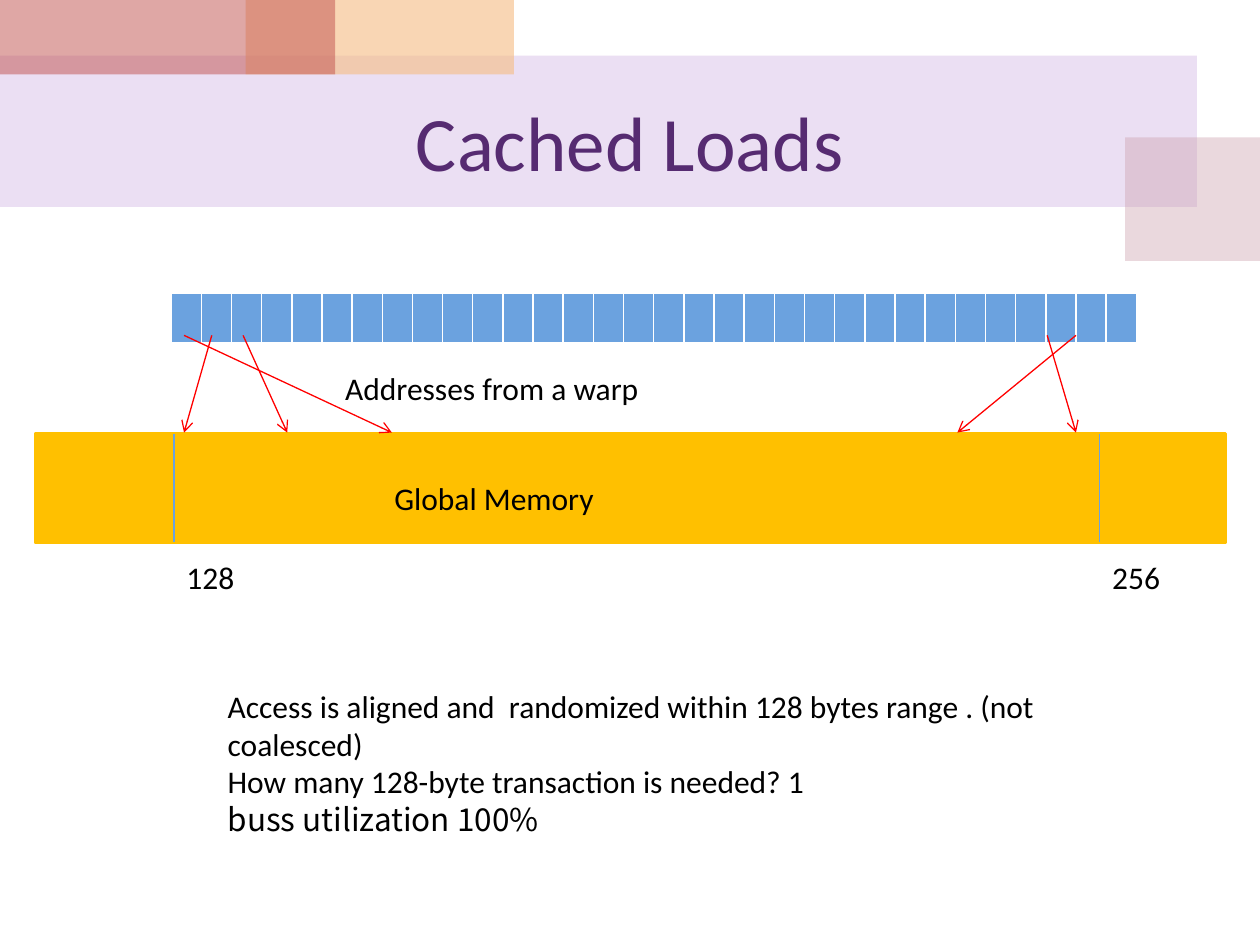
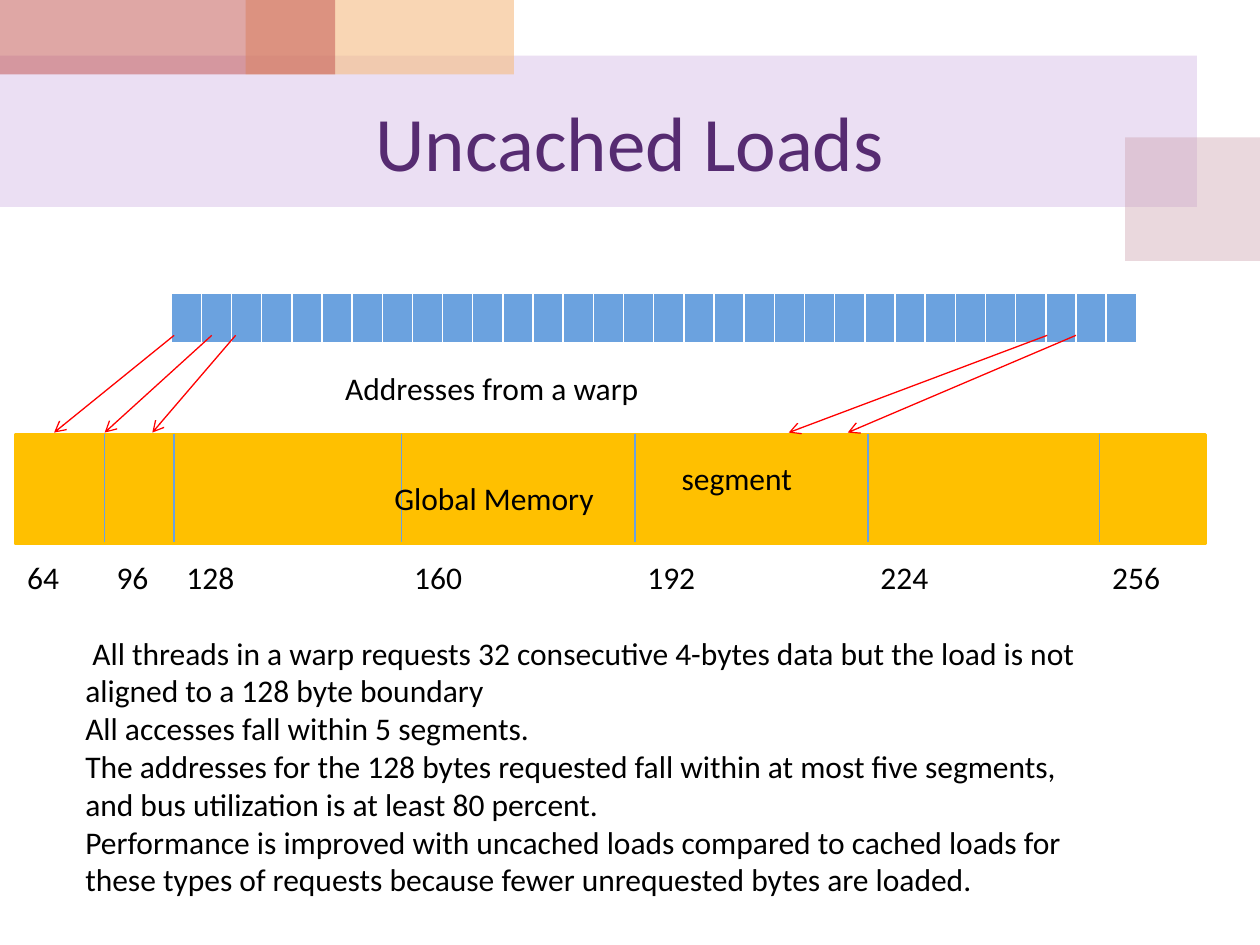
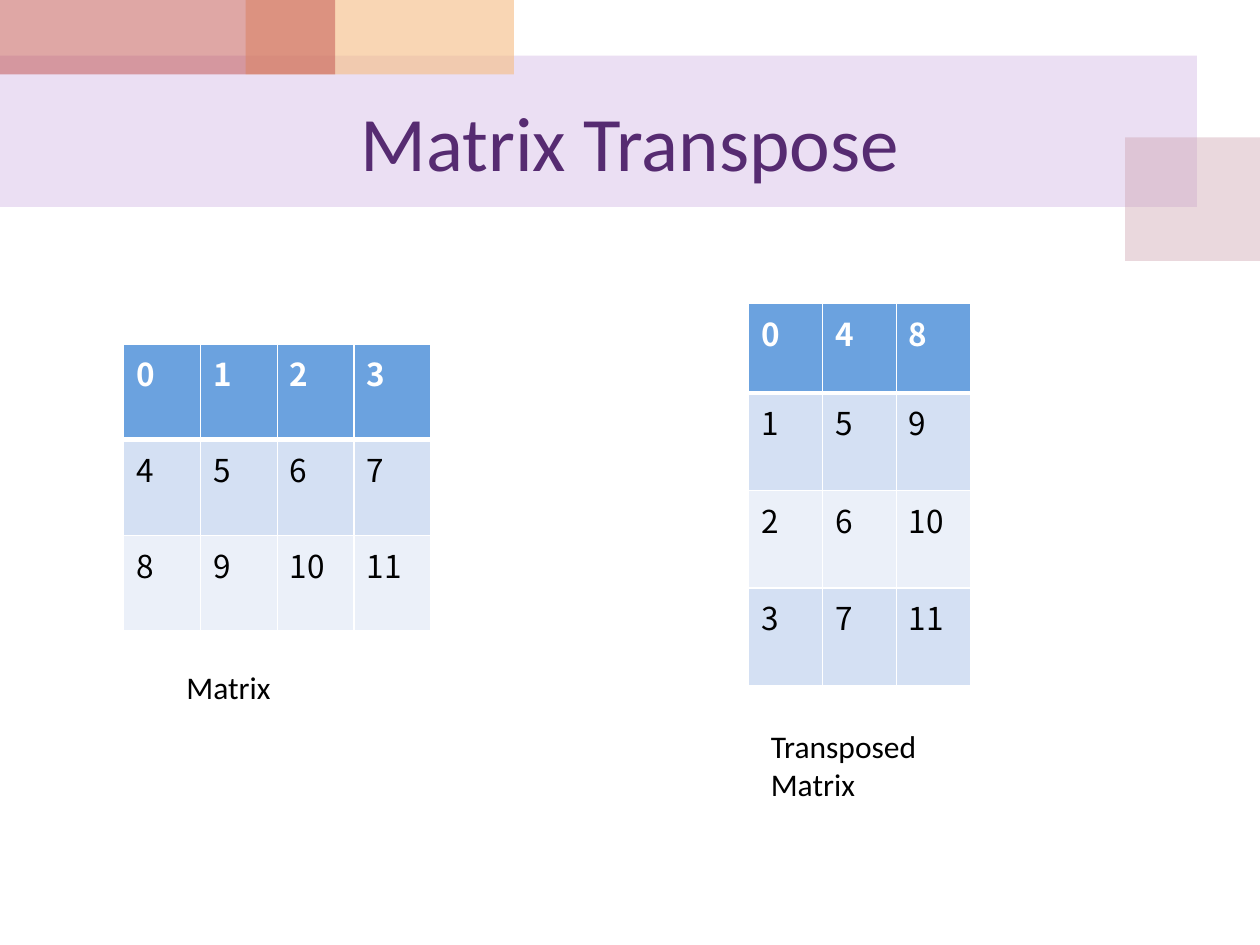
from lxml.etree import SubElement as Sub
from pptx import Presentation
from pptx.dml.color import RGBColor
from pptx.enum.shapes import MSO_CONNECTOR as Link, MSO_SHAPE as Kind
from pptx.enum.text import MSO_ANCHOR as Anchor, MSO_AUTO_SIZE as Fit, PP_ALIGN as Align
from pptx.oxml.ns import qn
from pptx.util import Cm, Pt

SANS, CJK = "Calibri", "Noto Sans CJK KR"
BLUE, GOLD, RED, PLUM = "6BA2DF", "FFC000", "FF0000", "562B71"
WHITE, BLACK = "FFFFFF", "000000"
ROWS = ["D4E0F3", "EBF0F9"]
BODY = {"name": SANS, "size": Pt(18)}
CELL = {"name": CJK, "size": Pt(18)}
TITLE = {"name": SANS, "size": Pt(44)}

# left, top, width, height in cm, then colour and opacity in percent
BANDS = [
    ((0, 1.12, 24.13, 3.05), "BF98D8", 30),
    ((22.68, 2.77, 2.72, 2.49), "CC9EAC", 40),
    ((4.95, 0, 5.41, 1.5), "F5BC83", 60),
    ((0, 0, 6.76, 1.5), "C0504D", 50),
]
HEAD = (1.27, 1.5, 22.86, 2.67)
WARP = (3.45, 5.92, 18.52, 1)
THREADS = 32
LINE = 1.02
ARROW_TOP, ARROW_END = 6.76, 8.72
MARK_TOP, MARK_END, MARK_TEXT = 8.74, 10.92, 11.13
LABELS = [
    ("Addresses from a warp", (6.71, 7.32, 11.2, LINE)),
    ("Global Memory", (7.7, 9.53, 7.19, LINE)),
]

# arrows: x at the warp, x at the memory; marks: address, x, label width
LOADS = [
    {
        "title": "Cached Loads",
        "memory": (0.71, 8.74, 24, 2.21),
        "arrows": [(4.27, 3.71), (4.9, 5.79), (21.11, 21.69), (21.69, 19.3), (3.71, 7.9)],
        "marks": [(128, 3.51, 2.01), (256, 22.17, 2.13)],
        "labels": LABELS,
        "box": (4.34, 13.72, 17.35, 3.33),
        "notes": [
            ("Access is aligned and  randomized within 128 bytes range . (not coalesced)", SANS),
            ("How many 128-byte transaction is needed? 1", SANS),
            ("buss utilization 100%", CJK),
        ],
    },
    {
        "title": "Uncached Loads",
        "memory": (0.3, 8.76, 24, 2.21),
        "arrows": [(4.27, 2.11), (4.75, 3.07), (21.11, 15.9), (21.69, 17.09), (3.51, 1.09)],
        "marks": [
            (64, 0.3, 1.6), (96, 2.1, 1.4), (128, 3.51, 2.01), (160, 8.1, 2.39),
            (192, 12.8, 2.92), (224, 17.5, 2.59), (256, 22.17, 2.13),
        ],
        "labels": LABELS + [("segment", (13.49, 9.12, 3.61, LINE))],
        "box": (1.47, 12.65, 21.03, 5.64),
        "notes": [
            (" All threads in a warp requests 32 consecutive 4-bytes data but the load "
             "is not aligned to a 128 byte boundary", SANS),
            ("All accesses fall within 5 segments.", SANS),
            ("The addresses for the 128 bytes requested fall within at most five segments, "
             "and bus utilization is at least 80 percent.", SANS),
            ("Performance is improved with uncached loads compared to cached loads for these "
             "types of requests because fewer unrequested bytes are loaded.", SANS),
        ],
    },
]

MATRIX = [[0, 1, 2, 3], [4, 5, 6, 7], [8, 9, 10, 11]]
GRIDS = [
    (MATRIX, (2.49, 6.93, 6.2, 5.79), 1.93, "Matrix", (3.51, 13.34, 3.81, LINE)),
    (list(zip(*MATRIX)), (15.09, 6.12, 4.47, 7.7), 1.8,
     "Transposed Matrix", (15.29, 14.53, 3.99, 1.8)),
]


def put(obj, vals):
    for key, val in vals.items():
        setattr(obj, key, val)


def rgb(code):
    return RGBColor.from_string(code)


def place(box):
    return [Cm(v) for v in box]


def ink(run, font, code=BLACK):
    put(run.font, font)
    run.font.color.rgb = rgb(code)


def block(slide, box, code, edge=None):
    shape = slide.shapes.add_shape(Kind.RECTANGLE, *place(box))
    shape.shadow.inherit = False
    shape.fill.solid()
    shape.fill.fore_color.rgb = rgb(code)
    if edge:
        shape.line.color.rgb = rgb(code)
        shape.line.width = Pt(edge)
    else:
        shape.line.fill.background()
    return shape


def write(slide, box, paras):
    """Add a text box from (text, font name) pairs."""
    frame = slide.shapes.add_textbox(*place(box)).text_frame
    put(frame, {"word_wrap": True, "auto_size": Fit.SHAPE_TO_FIT_TEXT})
    for i, (text, name) in enumerate(paras):
        para = frame.add_paragraph() if i else frame.paragraphs[0]
        run = para.add_run()
        run.text = text
        ink(run, {**BODY, "name": name})


def rule(slide, ends, code, tip=False):
    line = slide.shapes.add_connector(Link.STRAIGHT, *place(ends))
    line.line.color.rgb = rgb(code)
    line.line.width = Pt(0.75)
    props = line.element.spPr
    if tip:
        Sub(props.find(qn("a:ln")), qn("a:tailEnd"), type="arrow")
    Sub(props, qn("a:effectLst"))


def border(cell, widths):
    """Draw white cell borders; widths maps L, R, T, B to points."""
    props = cell._tc.get_or_add_tcPr()
    for side in "LRTB":
        edge = Sub(props, qn("a:ln" + side), w=str(Pt(widths[side])))
        Sub(Sub(edge, qn("a:solidFill")), qn("a:srgbClr"), val=WHITE)


def grid(slide, box, data, first=None):
    """Add a table; first is the height of its top row when it differs."""
    count, wide = len(data), len(data[0])
    table = slide.shapes.add_table(count, wide, *place(box)).table
    for col in table.columns:
        col.width = Cm(box[2] / wide)
    first = first or box[3]
    for r, vals in enumerate(data):
        table.rows[r].height = Cm((box[3] - first) / (count - 1) if r else first)
        for c, val in enumerate(vals):
            cell = table.cell(r, c)
            border(cell, {"L": 1, "R": 1, "T": 3 if r == 1 else 1, "B": 1 if r else 3})
            cell.fill.solid()
            cell.fill.fore_color.rgb = rgb(ROWS[(r - 1) % 2] if r else BLUE)
            if val != "":
                run = cell.text_frame.paragraphs[0].add_run()
                run.text = str(val)
                ink(run, {**CELL, "bold": r == 0}, BLACK if r else WHITE)


def start(deck, text):
    """Add a title-only slide with its title set."""
    slide = deck.slides.add_slide(deck.slide_layouts[5])
    title = slide.shapes.title
    put(title, dict(zip(("left", "top", "width", "height"), place(HEAD))))
    frame = title.text_frame
    frame.text = text
    frame.vertical_anchor = Anchor.MIDDLE
    frame.paragraphs[0].alignment = Align.CENTER
    ink(frame.paragraphs[0].runs[0], TITLE, PLUM)
    return slide


def dress(deck, slide):
    """Draw the bands and move them to the back of the master."""
    tree = deck.slide_master.shapes.element
    for i, (box, code, alpha) in enumerate(BANDS):
        band = block(slide, box, code).element
        color = band.spPr.find(qn("a:solidFill")).find(qn("a:srgbClr"))
        Sub(color, qn("a:alpha"), val=str(alpha * 1000))
        band.nvSpPr.cNvPr.set("id", str(100 + i))
        tree.insert(2 + i, band)


def draw_load(slide, load):
    block(slide, load["memory"], GOLD, 1.5)
    grid(slide, WARP, [[""] * THREADS])
    for x, end in load["arrows"]:
        rule(slide, (x, ARROW_TOP, end, ARROW_END), RED, True)
    for name, x, width in load["marks"]:
        if x > load["memory"][0]:
            rule(slide, (x, MARK_TOP, x, MARK_END), BLUE)
        write(slide, (x, MARK_TEXT, width, LINE), [(str(name), SANS)])
    for text, box in load["labels"]:
        write(slide, box, [(text, SANS)])
    write(slide, load["box"], load["notes"])


def main():
    deck = Presentation()
    put(deck, {"slide_width": Cm(25.4), "slide_height": Cm(19.05)})
    for load in LOADS:
        draw_load(start(deck, load["title"]), load)
    slide = start(deck, "Matrix Transpose")
    for data, box, first, text, spot in GRIDS:
        grid(slide, box, data, first)
        write(slide, spot, [(text, SANS)])
    dress(deck, slide)
    deck.save("out.pptx")


if __name__ == "__main__":
    main()
